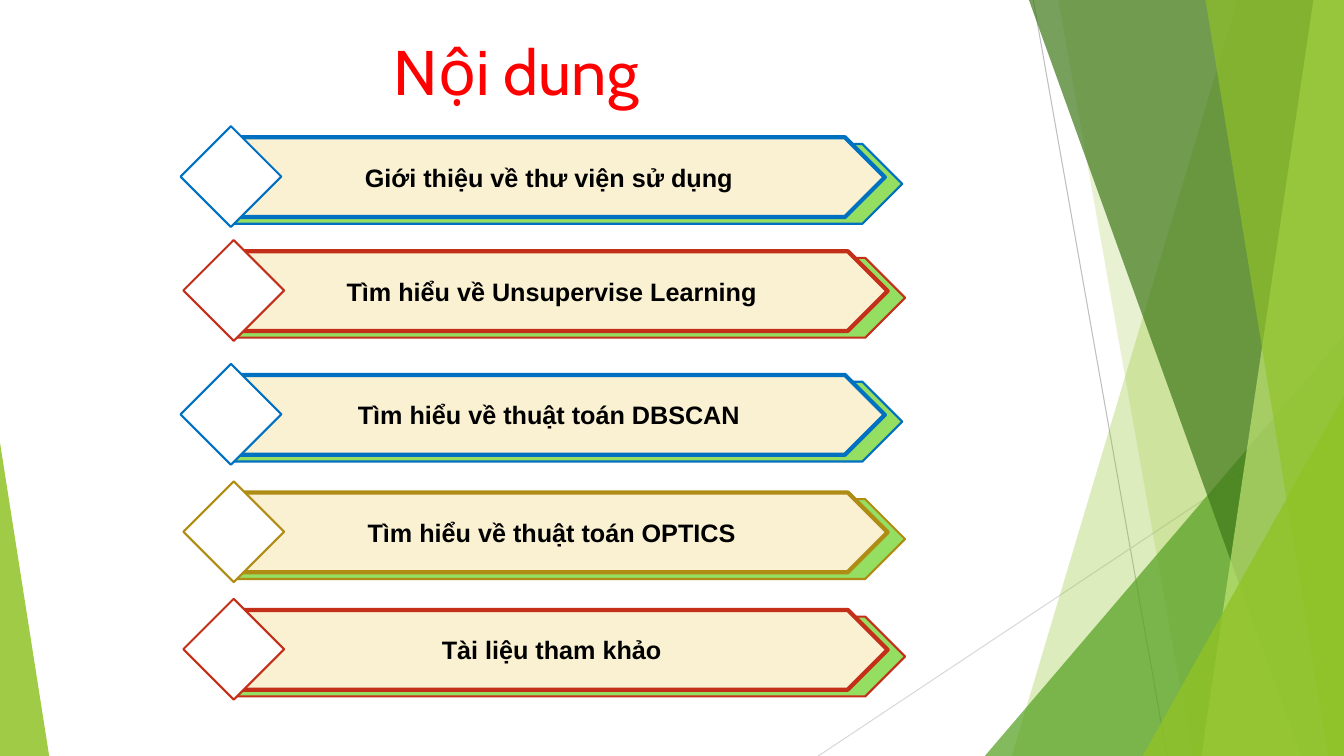
from lxml import etree
from pptx import Presentation
from pptx.dml.color import RGBColor
from pptx.enum.shapes import MSO_CONNECTOR, MSO_SHAPE
from pptx.enum.text import MSO_ANCHOR, PP_ALIGN
from pptx.oxml.ns import qn
from pptx.util import Cm, Pt

LINE = MSO_CONNECTOR.STRAIGHT
PLATE = MSO_SHAPE.PENTAGON
GEM = MSO_SHAPE.DIAMOND
WEDGE = MSO_SHAPE.ISOSCELES_TRIANGLE
MIDDLE = MSO_ANCHOR.MIDDLE
CENTER = PP_ALIGN.CENTER

WHITE = RGBColor(0xFF, 0xFF, 0xFF)
BLACK = RGBColor(0x00, 0x00, 0x00)
RED = RGBColor(0xFF, 0x00, 0x00)
GRAY = RGBColor(0xBF, 0xBF, 0xBF)
PALE = RGBColor(0xD9, 0xD9, 0xD9)
LIME = RGBColor(0x90, 0xC2, 0x26)
LEAF = RGBColor(0x54, 0xA0, 0x21)
MOSS = RGBColor(0x3F, 0x78, 0x19)
MINT = RGBColor(0xC0, 0xE4, 0x74)
GREEN = RGBColor(0x94, 0xDE, 0x61)
CREAM = RGBColor(0xFA, 0xF1, 0xD2)
BLUE = RGBColor(0x00, 0x70, 0xC0)
RUST = RGBColor(0xC4, 0x2F, 0x1A)
GOLD = RGBColor(0xAF, 0x8C, 0x14)

WIDE, HIGH = 33.87, 19.05

ROWS = [
    (4.55, 3.18, BLUE, "Giới thiệu về thư viện sử dụng"),
    (4.62, 6.05, RUST, "Tìm hiểu về Unsupervise Learning"),
    (4.55, 9.17, BLUE, "Tìm hiểu về thuật toán DBSCAN"),
    (4.62, 12.13, GOLD, "Tìm hiểu về thuật toán OPTICS"),
    (4.62, 15.09, RUST, "Tài liệu tham khảo"),
]


def write(shape, text, size=18, font="Arial", color=BLACK, bold=False):
    frame = shape.text_frame
    frame.word_wrap = True
    frame.vertical_anchor = MIDDLE
    para = frame.paragraphs[0]
    para.alignment = CENTER
    run = para.add_run()
    run.text = text
    run.font.size = Pt(size)
    run.font.name = font
    run.font.bold = bold
    run.font.color.rgb = color


class Deck:
    def __init__(self):
        self.prs = Presentation()
        self.prs.slide_width = Cm(WIDE)
        self.prs.slide_height = Cm(HIGH)
        self.slide = self.prs.slides.add_slide(self.prs.slide_layouts[6])
        self.group()

    def group(self):
        self.host = self.slide.shapes.add_group_shape().shapes

    def paint(self, shape, fill, alpha=100, edge=None, weight=1.5):
        shape.shadow.inherit = False
        shape.fill.solid()
        shape.fill.fore_color.rgb = fill
        if alpha < 100:
            tint = shape.fill._xPr.find(qn("a:solidFill"))[0]
            etree.SubElement(tint, qn("a:alpha"), val=str(alpha * 1000))
        if edge is None:
            shape.line.fill.background()
        else:
            shape.line.color.rgb = edge
            shape.line.width = Pt(weight)
        return shape

    def shape(self, kind, x, y, w, h, fill, **style):
        item = self.host.add_shape(kind, Cm(x), Cm(y), Cm(w), Cm(h))
        return self.paint(item, fill, **style)

    def wedge(self, x, y, w, tip, fill, alpha):
        item = self.shape(WEDGE, x, y, w, HIGH - y, fill, alpha=alpha)
        item.adjustments[0] = tip

    def band(self, top, base, fill, alpha):
        pen = self.host.build_freeform(Cm(top), 0)
        ends = [(WIDE, 0), (WIDE, HIGH), (base, HIGH)]
        pen.add_line_segments([(Cm(x), Cm(y)) for x, y in ends])
        self.paint(pen.convert_to_shape(), fill, alpha)

    def line(self, x1, y1, x2, y2, color):
        item = self.host.add_connector(LINE, Cm(x1), Cm(y1), Cm(x2), Cm(y2))
        item.line.color.rgb = color
        item.line.width = Pt(0.75)
        etree.SubElement(item._element.spPr, qn("a:effectLst"))

    def title(self, text):
        box = self.slide.shapes.add_textbox(Cm(6.48), Cm(0.61), Cm(13.06), Cm(2.31))
        box.fill.solid()
        box.fill.fore_color.rgb = WHITE
        write(box, text, size=45, font="Cabin", color=RED)

    def row(self, x, y, edge, text):
        self.group()
        left = x + 1.32
        self.shape(PLATE, left, y + 0.45, 16.87, 2.01, GREEN, edge=edge)
        front = self.shape(PLATE, left, y + 0.28, 16.43, 2.01, CREAM, edge=edge, weight=3)
        write(front, text, bold=True)
        self.shape(GEM, x, y, 2.54, 2.54, WHITE, edge=edge)


def main():
    deck = Deck()
    deck.line(26.04, 0, 29.41, HIGH, GRAY)
    deck.line(WIDE, 10.24, 20.62, HIGH, PALE)
    deck.band(31.19, 25.5, LIME, 30)
    deck.band(26.67, 30.05, LIME, 20)
    deck.wedge(24.82, 8.46, 9.05, 1, LEAF, 72)
    deck.band(25.93, 32.79, MOSS, 70)
    deck.band(33.1, 30.28, MINT, 70)
    deck.band(30.38, 33.48, LIME, 65)
    deck.wedge(28.8, 9.98, 5.07, 1, LIME, 80)
    deck.wedge(0, 11.15, 1.24, 0, LIME, 85)
    deck.title("Nội dung")
    for row in ROWS:
        deck.row(*row)
    deck.prs.save("out.pptx")


if __name__ == "__main__":
    main()
